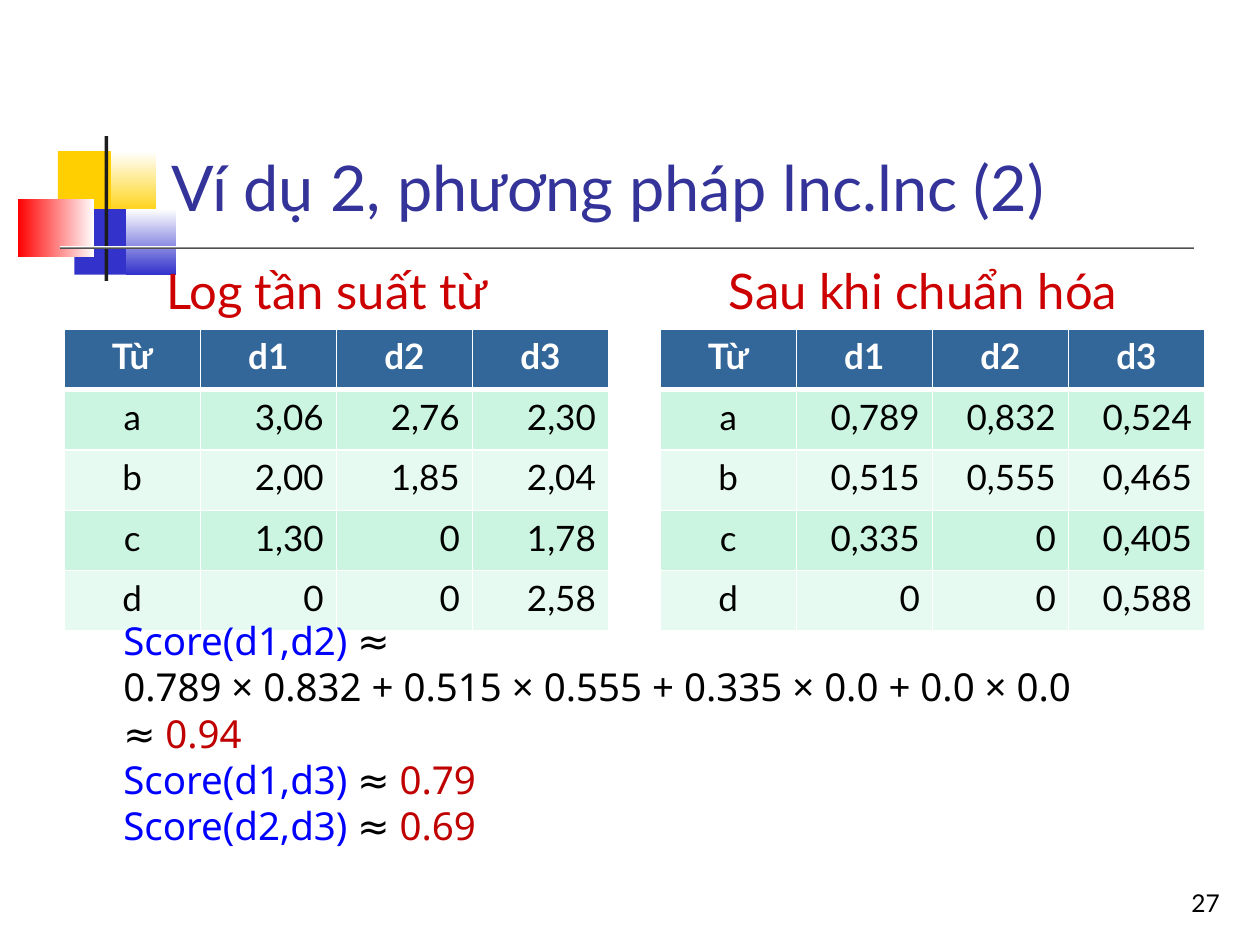
import pptx
import pptx.util
import pptx.dml.color
import pptx.enum.shapes
import pptx.enum.text
import pptx.oxml
import pptx.oxml.ns

Inches, Pt = pptx.util.Inches, pptx.util.Pt
RGB = pptx.dml.color.RGBColor
ALIGN = pptx.enum.text.PP_ALIGN
ANCHOR = pptx.enum.text.MSO_ANCHOR

WHITE, BLACK = RGB(255, 255, 255), RGB(0, 0, 0)
YELLOW, INDIGO, RED = RGB(0xFF, 0xCF, 0x01), RGB(0x33, 0x33, 0xCC), RGB(255, 0, 0)
CHARCOAL = RGB(0x1C, 0x1C, 0x1C)
TITLE_BLUE, HEADING_RED = RGB(0x33, 0x33, 0x99), RGB(0xCC, 0, 0)
HEADER_BLUE = RGB(0x33, 0x66, 0x99)
BANDS = [RGB(0xE7, 0xFA, 0xF1), RGB(0xCB, 0xF5, 0xE1)]
SCORE_BLUE, RESULT_RED = RGB(0, 0, 255), RGB(0xC0, 0, 0)

# Content
TITLE = "Ví dụ 2, phương pháp lnc.lnc (2)"
PAGE = "27"
HEADER = ["Từ", "d1", "d2", "d3"]
TABLES = [
    ("Log tần suất từ", [
        ["a", "3,06", "2,76", "2,30"],
        ["b", "2,00", "1,85", "2,04"],
        ["c", "1,30", "0", "1,78"],
        ["d", "0", "0", "2,58"],
    ]),
    ("Sau khi chuẩn hóa", [
        ["a", "0,789", "0,832", "0,524"],
        ["b", "0,515", "0,555", "0,465"],
        ["c", "0,335", "0", "0,405"],
        ["d", "0", "0", "0,588"],
    ]),
]
SCORES = [
    [("Score(d1,d2) ", SCORE_BLUE), ("≈", BLACK)],
    [("0.789 × 0.832 + 0.515 × 0.555 + 0.335 × 0.0 + 0.0 × 0.0", BLACK)],
    [("≈ ", BLACK), ("0.94", RESULT_RED)],
    [("Score(d1,d3)", SCORE_BLUE), (" ≈ ", BLACK), ("0.79", RESULT_RED)],
    [("Score(d2,d3) ", SCORE_BLUE), ("≈ ", BLACK), ("0.69", RESULT_RED)],
]

# Ornament: left, top, width, height, start colour, end colour, angle
ORNAMENT = [
    (0.46, 1.2, 0.48, 0.52, YELLOW, None, 0),
    (0.88, 1.2, 0.36, 0.52, YELLOW, WHITE, 90),
    (0.59, 1.66, 0.46, 0.52, INDIGO, None, 0),
    (1, 1.66, 0.4, 0.52, INDIGO, WHITE, 90),
    (0.14, 1.58, 0.61, 0.46, WHITE, RED, 180),
    (0.83, 1.08, 0.03, 1.15, CHARCOAL, None, 0),
    (0.48, 1.95, 9, 0.03, CHARCOAL, WHITE, 90),
]

# Grid of the two tables
LEFT, STEP, TABLE_TOP, HEADING_TOP = 0.51, 4.73, 2.61, 2.02
COL_W, ROW_H = 1.08, 0.48


def add_block(s, left, top, width, height, start, end, angle):
    sp = s.shapes.add_shape(pptx.enum.shapes.MSO_SHAPE.RECTANGLE,
                            *map(Inches, (left, top, width, height)))
    sp.shadow.inherit = False
    sp.line.fill.background()
    if end is None:
        sp.fill.solid()
        sp.fill.fore_color.rgb = start
    else:
        sp.fill.gradient()
        sp.fill.gradient_angle = angle
        for stop, color in zip(sp.fill.gradient_stops, (start, end)):
            stop.color.rgb = color


def add_box(s, left, top, width, height, anchor=ANCHOR.TOP, wrap=True):
    tf = s.shapes.add_textbox(*map(Inches, (left, top, width, height))).text_frame
    tf.word_wrap = wrap
    tf.vertical_anchor = anchor
    return tf


def style(p, text, size, color, align=ALIGN.LEFT, bold=False):
    p.text = text
    p.alignment = align
    p.font.name, p.font.size, p.font.bold = "Lato", Pt(size), bold
    p.font.color.rgb = color


def set_borders(cell, widths):
    tc_pr = cell._tc.get_or_add_tcPr()
    for side, width in zip("LRTB", widths):
        tc_pr.append(pptx.oxml.parse_xml(
            f'<a:ln{side} {pptx.oxml.ns.nsdecls("a")} w="{Pt(width)}"><a:solidFill>'
            f'<a:srgbClr val="{WHITE}"/></a:solidFill></a:ln{side}>'))


def add_data_table(s, left, rows):
    rows = [HEADER] + rows
    table = s.shapes.add_table(
        len(rows), len(HEADER), Inches(left), Inches(TABLE_TOP),
        Inches(COL_W * len(HEADER)), Inches(ROW_H * len(rows))).table
    for i, row in enumerate(rows):
        for j, text in enumerate(row):
            cell = table.cell(i, j)
            set_borders(cell, (1, 1, 3 if i == 1 else 1, 3 if i == 0 else 1))
            cell.fill.solid()
            cell.fill.fore_color.rgb = BANDS[i % 2] if i else HEADER_BLUE
            style(cell.text_frame.paragraphs[0], text, 20,
                  BLACK if i else WHITE,
                  ALIGN.RIGHT if i and j else ALIGN.CENTER, bold=i == 0)


def main():
    prs = pptx.Presentation()
    prs.slide_width, prs.slide_height = Inches(10), Inches(7.5)
    s = prs.slides.add_slide(prs.slide_layouts[6])

    # Ornament and title
    for block in ORNAMENT:
        add_block(s, *block)
    tf = add_box(s, 1.26, 0.23, 8.52, 1.6, ANCHOR.BOTTOM)
    style(tf.paragraphs[0], TITLE, 36, TITLE_BLUE)

    # Tables with their headings
    for k, (heading, rows) in enumerate(TABLES):
        left = LEFT + k * STEP
        add_data_table(s, left, rows)
        tf = add_box(s, left, HEADING_TOP, 4.17, 0.57)
        style(tf.paragraphs[0], heading, 28, HEADING_RED, ALIGN.CENTER)

    # Scores
    tf = add_box(s, 0.88, 4.85, 7.72, 1.93, wrap=False)
    for i, line in enumerate(SCORES):
        p = tf.add_paragraph() if i else tf.paragraphs[0]
        p.line_spacing = Pt(26.4)
        p.font.name, p.font.size = "Noto Sans", Pt(22)
        for text, color in line:
            r = p.add_run()
            r.text = text
            r.font.color.rgb = color

    # Page number
    tf = add_box(s, 7.7, 6.83, 2.08, 0.5, ANCHOR.BOTTOM)
    style(tf.paragraphs[0], PAGE, 14, BLACK, ALIGN.RIGHT)

    prs.save("out.pptx")


if __name__ == "__main__":
    main()
